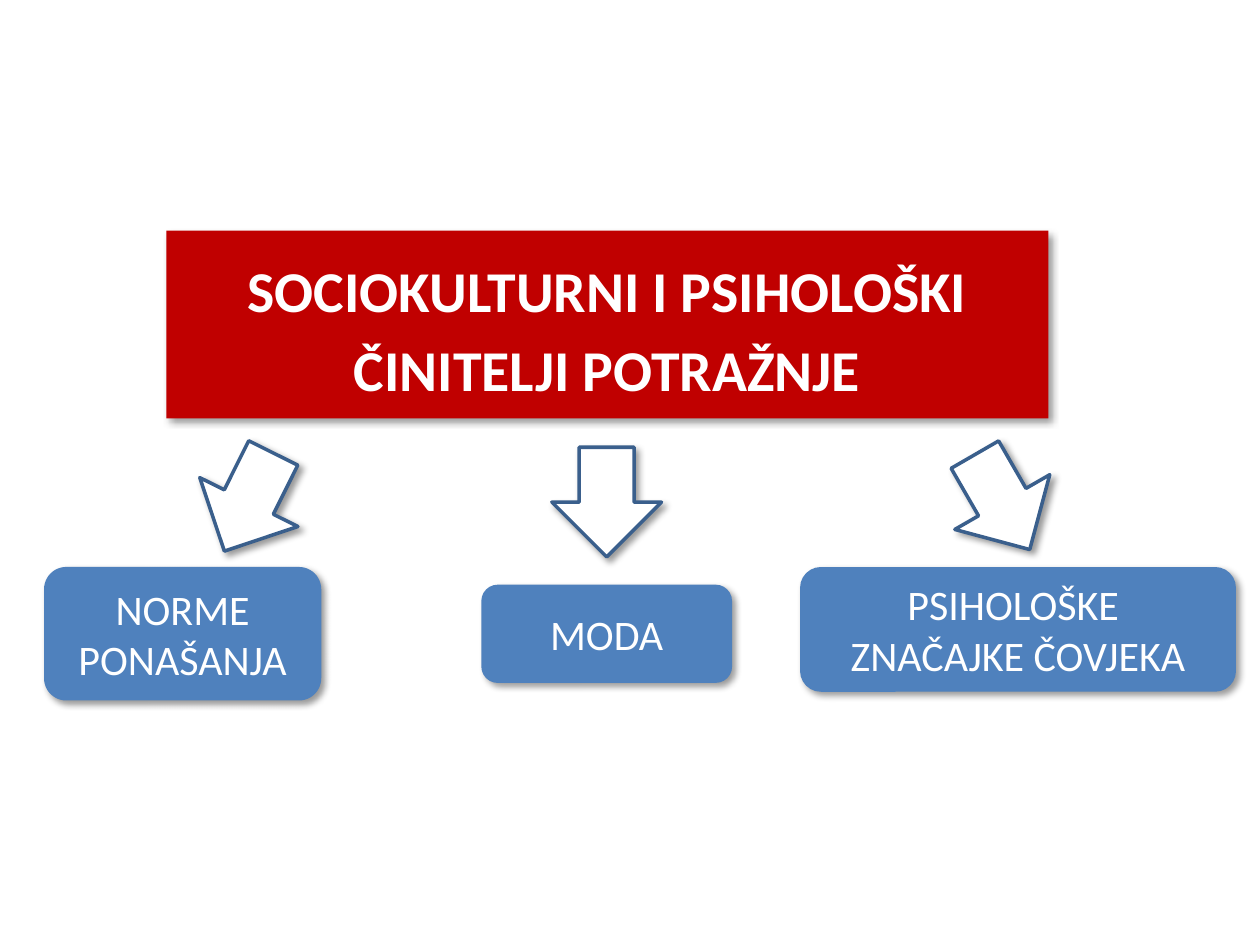
"""Build a slide on the sociocultural and psychological factors of demand."""
from dataclasses import dataclass

from lxml import etree
from pptx import Presentation
from pptx import util as u
from pptx.dml.color import RGBColor
from pptx.enum import shapes, text
from pptx.oxml import parse_xml
from pptx.oxml.ns import nsdecls, qn
from pptx.shapes.autoshape import Shape
from pptx.slide import Slide

WIDTH, HEIGHT = u.Inches(10), u.Inches(7.5)
COLUMNS, ROWS = 100, 75
RED = RGBColor(0xC0, 0x00, 0x00)
BLUE = RGBColor(0x4F, 0x81, 0xBD)
OUTLINE = RGBColor(0x3A, 0x5F, 0x8C)
WHITE = RGBColor(0xFF, 0xFF, 0xFF)
FONT = "Calibri"
ARROW_ROW, ARROW_SIZE = 35.5, 8.7


@dataclass(frozen=True)
class Area:
    column: float
    row: float
    columns: float
    rows: float

    def lengths(self) -> tuple[int, int, int, int]:
        """Return left, top, width and height on the slide grid."""
        return (
            round(WIDTH * self.column / COLUMNS),
            round(HEIGHT * self.row / ROWS),
            round(WIDTH * self.columns / COLUMNS),
            round(HEIGHT * self.rows / ROWS),
        )


@dataclass(frozen=True)
class Factor:
    label: str
    area: Area
    arrow_column: float
    arrow_angle: float


TITLE = "SOCIOKULTURNI I PSIHOLOŠKI ČINITELJI POTRAŽNJE"
TITLE_AREA = Area(13.2, 18.3, 70, 14.9)
FACTORS = (
    Factor("NORME PONAŠANJA", Area(3.5, 45, 22, 10.6), 15.4, 26.5),
    Factor("MODA", Area(38.2, 46.4, 19.9, 7.8), 43.8, 0),
    Factor("PSIHOLOŠKE \vZNAČAJKE ČOVJEKA", Area(63.5, 45, 34.6, 9.9), 75.2, 330),
)


def add_shadow(shape: Shape) -> None:
    """Give a shape a soft shadow to the lower right."""
    shape.shadow.inherit = False
    effects = shape._element.spPr.find(qn("a:effectLst"))
    effects.append(parse_xml(
        f'<a:outerShdw {nsdecls("a")} blurRad="{u.Pt(4)}" dist="{u.Pt(3)}" '
        'dir="2700000" algn="ctr" rotWithShape="0"><a:srgbClr val="000000">'
        '<a:alpha val="40000"/></a:srgbClr></a:outerShdw>'
    ))


def fill_shape(shape: Shape, color: RGBColor) -> None:
    """Fill a shape with a plain colour and shade it."""
    shape.fill.solid()
    shape.fill.fore_color.rgb = color
    add_shadow(shape)


def format_box(box: Shape, label: str, color: RGBColor, size: float, bold: bool) -> None:
    """Style a borderless box with a centred white label."""
    fill_shape(box, color)
    box.line.fill.background()
    frame = box.text_frame
    frame.text = label
    frame.word_wrap = True
    frame.auto_size = text.MSO_AUTO_SIZE.NONE
    frame.vertical_anchor = text.MSO_ANCHOR.MIDDLE
    frame.margin_left = frame.margin_right = u.Inches(0.04)
    frame.margin_top = frame.margin_bottom = u.Inches(0.04)
    for para in frame.paragraphs:
        para.alignment = text.PP_ALIGN.CENTER
        for span in para.runs:
            span.font.name = FONT
            span.font.size = u.Pt(size)
            span.font.bold = bold
            span.font.color.rgb = WHITE


def place_title(page: Slide) -> None:
    """Turn the title placeholder into the red rounded box."""
    title = page.shapes.title
    title.left, title.top, title.width, title.height = TITLE_AREA.lengths()
    outline = etree.SubElement(title._element.spPr, qn("a:prstGeom"), prst="roundRect")
    etree.SubElement(outline, qn("a:avLst"))
    format_box(title, TITLE, RED, 33, True)
    title.text_frame.paragraphs[0].line_spacing = u.Pt(45)


def add_factor(page: Slide, factor: Factor) -> None:
    """Draw a factor box and the arrow leading to it."""
    arrow_area = Area(factor.arrow_column, ARROW_ROW, ARROW_SIZE, ARROW_SIZE)
    arrow = page.shapes.add_shape(shapes.MSO_SHAPE.DOWN_ARROW, *arrow_area.lengths())
    arrow.rotation = factor.arrow_angle
    fill_shape(arrow, WHITE)
    arrow.line.color.rgb = OUTLINE
    arrow.line.width = u.Pt(2)
    box = page.shapes.add_shape(shapes.MSO_SHAPE.ROUNDED_RECTANGLE, *factor.area.lengths())
    format_box(box, factor.label, BLUE, 24, False)


def main() -> None:
    """Build and save the deck."""
    deck = Presentation()
    deck.slide_width, deck.slide_height = WIDTH, HEIGHT
    page = deck.slides.add_slide(deck.slide_layouts.get_by_name("Title Only"))
    place_title(page)
    for factor in FACTORS:
        add_factor(page, factor)
    deck.save("out.pptx")


if __name__ == "__main__":
    main()
